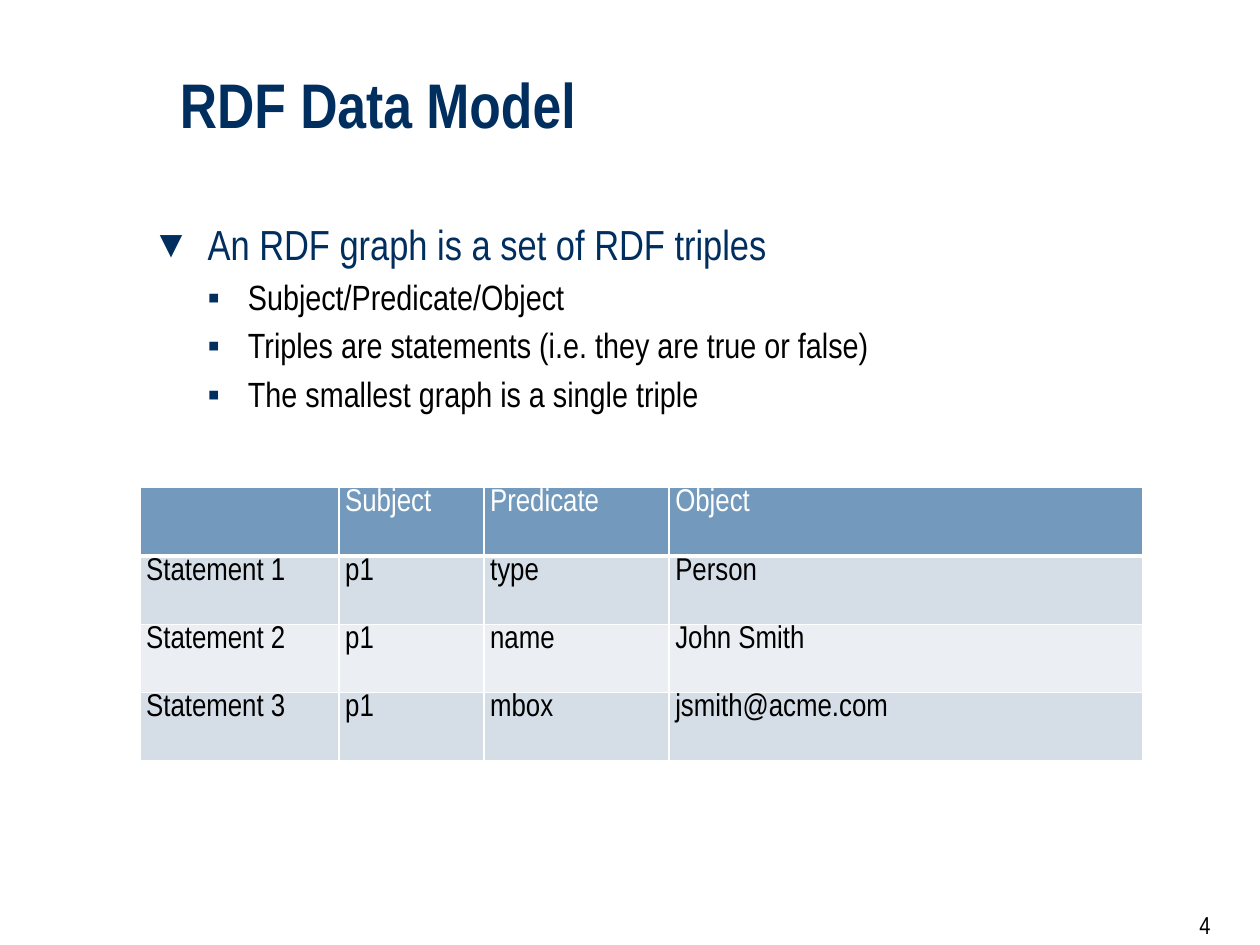
from collections import namedtuple

from lxml.etree import SubElement
from pptx import Presentation
from pptx.dml.color import RGBColor
from pptx.enum.text import MSO_ANCHOR
from pptx.oxml.ns import qn
from pptx.util import Inches, Pt

NAVY = RGBColor(0x00, 0x2F, 0x5F)
BLACK = RGBColor(0x00, 0x00, 0x00)
WHITE = RGBColor(0xFF, 0xFF, 0xFF)
HEADER_BLUE = RGBColor(0x73, 0x9A, 0xBC)
BAND_DARK = RGBColor(0xD5, 0xDE, 0xE7)
BAND_LIGHT = RGBColor(0xEB, 0xEF, 0xF3)
FONT = "Arial Narrow"

WIDTH, HEIGHT = Inches(10), Inches(7.5)
GRID_COLUMNS, GRID_ROWS = 100, 75
COLUMN, ROW = WIDTH / GRID_COLUMNS, HEIGHT / GRID_ROWS

Box = namedtuple("Box", "left top width height")
Level = namedtuple("Level", "size color indent hang spacing before bullet bullet_size")

LEVELS = [
    Level(24, NAVY, 4.4, 4.4, 0.9, 6, "▼", 91),
    Level(20, BLACK, 7.6, 3.2, 0.95, 5, "▪", 100),
]
POINTS = [
    (0, "An RDF graph is a set of RDF triples"),
    (1, "Subject/Predicate/Object"),
    (1, "Triples are statements (i.e. they are true or false)"),
    (1, "The smallest graph is a single triple"),
]
TRIPLES = [
    ("", "Subject", "Predicate", "Object"),
    ("Statement 1", "p1", "type", "Person"),
    ("Statement 2", "p1", "name", "John Smith"),
    ("Statement 3", "p1", "mbox", "jsmith@acme.com"),
]
TRIPLE_WIDTHS = (15.8, 11.5, 14.7, 37.6)


def place(box):
    """Turn a box in grid units into slide lengths."""
    return (round(box.left * COLUMN), round(box.top * ROW),
            round(box.width * COLUMN), round(box.height * ROW))


def style(paragraph, size, color, bold=False):
    """Set the font of a whole paragraph."""
    font = paragraph.font
    font.name, font.size, font.bold = FONT, Pt(size), bold
    font.color.rgb = color


def add_frame(slide, box):
    """Add a wrapping text box and return its text frame."""
    frame = slide.shapes.add_textbox(*place(box)).text_frame
    frame.word_wrap = True
    return frame


def add_title(slide, box, text):
    """Place the slide title at the foot of its box."""
    frame = add_frame(slide, box)
    frame.vertical_anchor = MSO_ANCHOR.BOTTOM
    title = frame.paragraphs[0]
    title.text = text
    title.line_spacing = 0.85
    style(title, 36, NAVY, bold=True)


def add_bullet(paragraph, level):
    """Give a paragraph the hanging bullet of its level."""
    properties = paragraph._p.get_or_add_pPr()
    properties.set("marL", str(round(level.indent * COLUMN)))
    properties.set("indent", str(round(-level.hang * COLUMN)))
    color = SubElement(properties, qn("a:buClr"))
    SubElement(color, qn("a:srgbClr"), val=str(NAVY))
    SubElement(properties, qn("a:buSzPct"), val=str(level.bullet_size * 1000))
    SubElement(properties, qn("a:buFont"), typeface="Arial")
    SubElement(properties, qn("a:buChar"), char=level.bullet)


def add_points(slide, box, points):
    """Place the bulleted points."""
    frame = add_frame(slide, box)
    for index, (depth, text) in enumerate(points):
        level = LEVELS[depth]
        point = frame.add_paragraph() if index else frame.paragraphs[0]
        point.text = text
        point.level = depth
        add_bullet(point, level)
        point.line_spacing = level.spacing
        if index:
            point.space_before = Pt(level.before)
        style(point, level.size, level.color)


def add_borders(cell, top, bottom):
    """Draw white borders round a cell, with the given top and bottom widths."""
    properties = cell._tc.get_or_add_tcPr()
    sides = {"a:lnL": 1, "a:lnR": 1, "a:lnT": top, "a:lnB": bottom}
    for position, (side, width) in enumerate(sides.items()):
        line = SubElement(properties, qn(side), w=str(Pt(width)))
        fill = SubElement(line, qn("a:solidFill"))
        SubElement(fill, qn("a:srgbClr"), val=str(WHITE))
        properties.insert(position, line)


def add_triples(slide, box, triples, widths):
    """Place the table of statements with its header and banded rows."""
    table = slide.shapes.add_table(len(triples), len(widths), *place(box)).table
    for column, width in zip(table.columns, widths):
        column.width = round(width * COLUMN)
    for row, values in enumerate(triples):
        fill = (BAND_DARK if row % 2 else BAND_LIGHT) if row else HEADER_BLUE
        for cell, value in zip(table.rows[row].cells, values):
            cell.margin_left = cell.margin_right = cell.margin_bottom = Inches(0.05)
            cell.margin_top = Inches(0.01)
            cell.fill.solid()
            cell.fill.fore_color.rgb = fill
            add_borders(cell, top=3 if row == 1 else 1, bottom=1 if row else 3)
            entry = cell.text_frame.paragraphs[0]
            entry.text = value
            style(entry, 18, BLACK if row else WHITE)


def add_page_number(slide, box, number):
    """Place the page number."""
    page = add_frame(slide, box).paragraphs[0]
    page.text = number
    style(page, 14, BLACK)


def main():
    """Build the slide and save it."""
    deck = Presentation()
    deck.slide_width, deck.slide_height = WIDTH, HEIGHT
    slide = deck.slides.add_slide(deck.slide_layouts[6])
    add_page_number(slide, Box(94.2, 71.7, 4.2, 3.4), "4")
    add_title(slide, Box(13.3, 2.2, 81.7, 9.5), "RDF Data Model")
    add_triples(slide, Box(11.1, 38.7, 79.6, 21.7), TRIPLES, TRIPLE_WIDTHS)
    add_points(slide, Box(11.1, 17.3, 79.6, 18.2), POINTS)
    deck.save("out.pptx")


if __name__ == "__main__":
    main()
